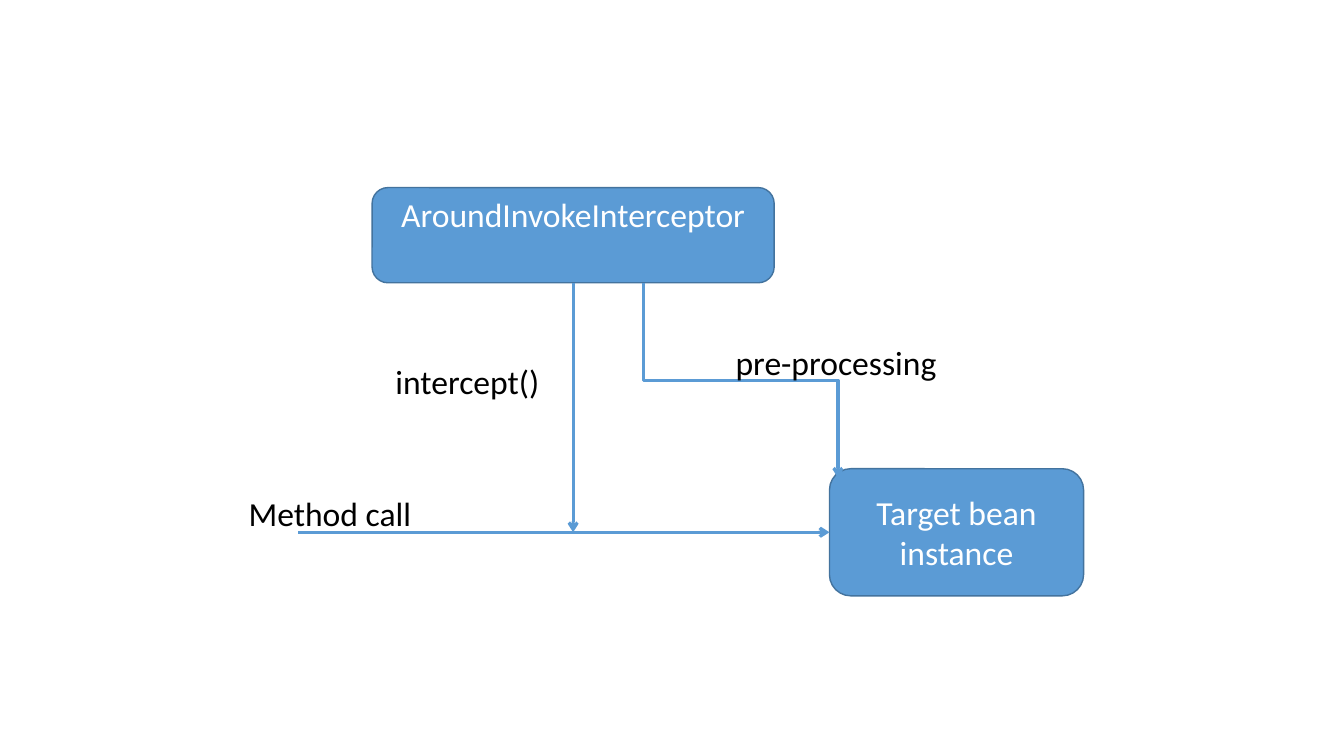
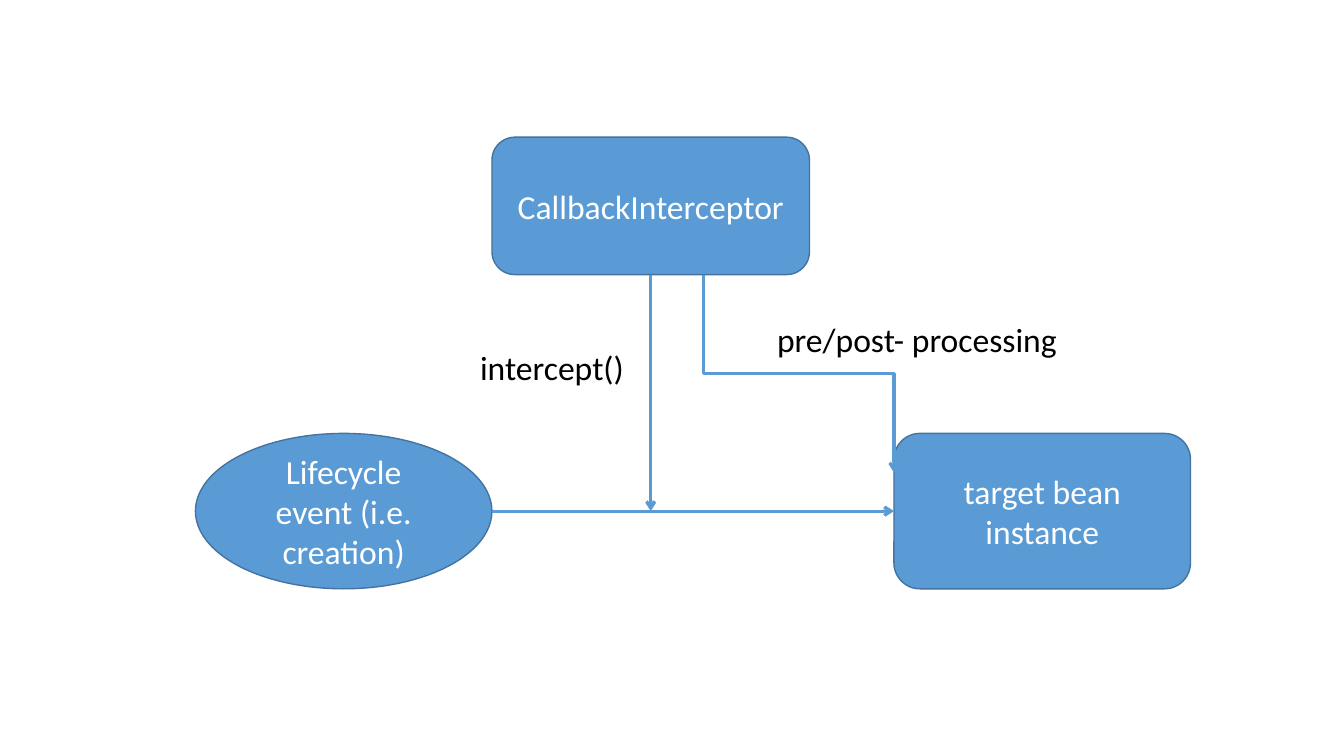
from dataclasses import dataclass

from lxml import etree
from pptx import Presentation
from pptx.dml.color import RGBColor
from pptx.enum.shapes import MSO_CONNECTOR, MSO_SHAPE
from pptx.enum.text import MSO_ANCHOR, MSO_AUTO_SIZE, PP_ALIGN
from pptx.oxml.ns import qn
from pptx.util import Pt

ROUNDED = MSO_SHAPE.ROUNDED_RECTANGLE
OVAL = MSO_SHAPE.OVAL
STRAIGHT = MSO_CONNECTOR.STRAIGHT
ELBOW = MSO_CONNECTOR.ELBOW
LEFT, CENTER = PP_ALIGN.LEFT, PP_ALIGN.CENTER
TOP, MIDDLE = MSO_ANCHOR.TOP, MSO_ANCHOR.MIDDLE
FIT_SHAPE = MSO_AUTO_SIZE.SHAPE_TO_FIT_TEXT

BLUE = RGBColor(0x5B, 0x9B, 0xD5)
DARK_BLUE = RGBColor(0x43, 0x73, 0x9E)
WHITE = RGBColor(0xFF, 0xFF, 0xFF)
BLACK = RGBColor(0x00, 0x00, 0x00)
FONT = "Calibri"
BLANK_LAYOUT = 6
LABEL_HEIGHT = 36.4
INTERCEPT_WIDTH = 118
INTERCEPT_RISE = 18.5
UPWARD_TURN = 270 * 60000


@dataclass
class Box:
    left: float
    top: float
    width: float
    height: float

    @property
    def center(self):
        return self.left + self.width / 2

    @property
    def middle(self):
        return self.top + self.height / 2

    @property
    def bottom(self):
        return self.top + self.height

    def lengths(self):
        return [Pt(value) for value in (self.left, self.top, self.width, self.height)]


def write_text(frame, text, color=BLACK, size=24, align=LEFT, anchor=TOP, wrap=True):
    frame.word_wrap = wrap
    frame.vertical_anchor = anchor
    para = frame.paragraphs[0]
    para.alignment = align
    span = para.add_run()
    span.text = text
    span.font.name = FONT
    span.font.size = Pt(size)
    span.font.color.rgb = color


def add_node(page, box, text, kind=ROUNDED, anchor=MIDDLE, top_margin=3.6):
    node = page.shapes.add_shape(kind, *box.lengths())
    node.shadow.inherit = False
    node.fill.solid()
    node.fill.fore_color.rgb = BLUE
    node.line.color.rgb = DARK_BLUE
    node.line.width = Pt(1)
    node.text_frame.margin_top = Pt(top_margin)
    write_text(node.text_frame, text, color=WHITE, align=CENTER, anchor=anchor)


def add_label(page, box, text):
    label = page.shapes.add_textbox(*box.lengths())
    write_text(label.text_frame, text, wrap=False)
    label.text_frame.auto_size = FIT_SHAPE


def add_arrow(page, start, end, kind=STRAIGHT):
    arrow = page.shapes.add_connector(kind, *[Pt(value) for value in (*start, *end)])
    arrow.line.color.rgb = BLUE
    arrow.line.width = Pt(2.25)
    properties = arrow.element.spPr
    etree.SubElement(properties.find(qn("a:ln")), qn("a:tailEnd"), type="arrow")
    etree.SubElement(properties, qn("a:effectLst"))
    return arrow


def add_bent_arrow(page, start, end):
    center, middle = (start[0] + end[0]) / 2, (start[1] + end[1]) / 2
    across, down = (end[0] - start[0]) / 2, (end[1] - start[1]) / 2
    arrow = add_arrow(page, (center + down, middle - across),
                      (center - down, middle + across), kind=ELBOW)
    arrow.element.spPr.find(qn("a:xfrm")).set("rot", str(UPWARD_TURN))


def add_interception(page, interceptor, target, flow_start, label_gap):
    add_arrow(page, (flow_start, target.middle), (target.left, target.middle))
    add_arrow(page, (interceptor.center, interceptor.bottom),
              (interceptor.center, target.middle))
    label_middle = (interceptor.bottom + target.middle) / 2 - INTERCEPT_RISE
    add_label(page, Box(interceptor.center - label_gap - INTERCEPT_WIDTH,
                        label_middle - LABEL_HEIGHT / 2,
                        INTERCEPT_WIDTH, LABEL_HEIGHT), "intercept()")


def add_processing(page, interceptor, target, text, shift, entry, label_offset, label_width):
    start = (interceptor.center + shift, interceptor.bottom)
    end = (target.left + entry[0], target.top + entry[1])
    add_bent_arrow(page, start, end)
    corner = (start[0], (start[1] + end[1]) / 2)
    add_label(page, Box(corner[0] + label_offset[0], corner[1] + label_offset[1],
                        label_width, LABEL_HEIGHT), text)


def build_method_page(deck):
    page = deck.slides.add_slide(deck.slide_layouts[BLANK_LAYOUT])
    interceptor = Box(265.8, 134, 287.2, 68)
    target = Box(592.5, 334.8, 181.5, 90.8)
    add_node(page, target, "Target bean instance")
    add_node(page, interceptor, "AroundInvokeInterceptor", anchor=TOP, top_margin=1.2)
    add_interception(page, interceptor, target, flow_start=213, label_gap=16)
    add_label(page, Box(target.left - 422, target.middle - 31.7, 131.8, LABEL_HEIGHT),
              "Method call")
    add_processing(page, interceptor, target, "pre-processing", shift=50,
                   entry=(6, 6.5), label_offset=(59, -31), label_width=160)


def build_lifecycle_page(deck):
    page = deck.slides.add_slide(deck.slide_layouts[BLANK_LAYOUT])
    interceptor = Box(351.4, 98, 226.8, 98.2)
    event = Box(139.6, 309.6, 211.8, 111)
    target = Box(638.6, event.top, event.width, event.height)
    add_node(page, event, "Lifecycle event (i.e. creation)", kind=OVAL)
    add_node(page, target, "target bean instance")
    add_node(page, interceptor, "CallbackInterceptor")
    add_interception(page, interceptor, target,
                     flow_start=event.left + event.width, label_gap=11)
    add_processing(page, interceptor, target, "pre/post- processing", shift=37.8,
                   entry=(0, 28), label_offset=(45.4, -43), label_width=216.7)


def main():
    deck = Presentation()
    deck.slide_width, deck.slide_height = Pt(960), Pt(540)
    build_method_page(deck)
    build_lifecycle_page(deck)
    deck.save("out.pptx")


if __name__ == "__main__":
    main()
